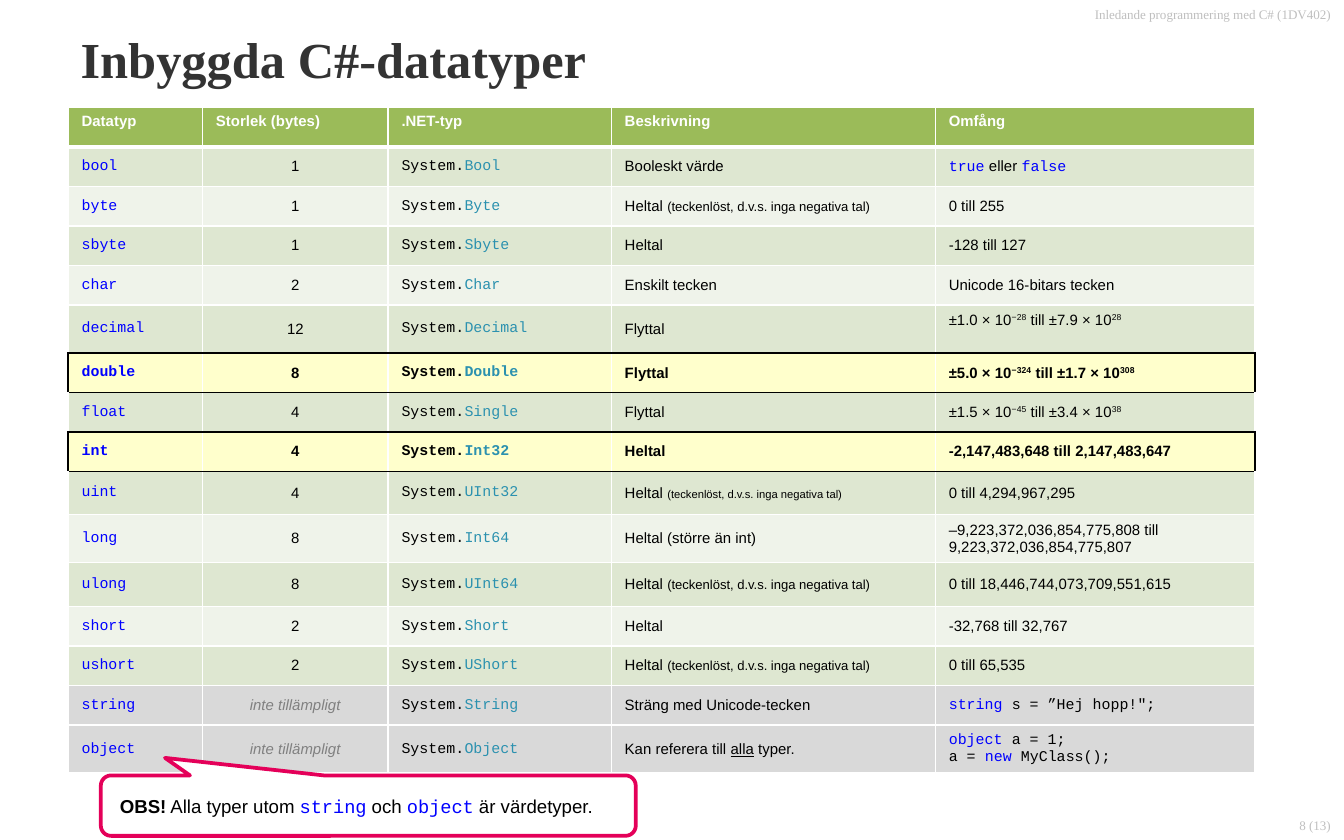
"""Build a slide with a table of the built-in C# data types."""
import lxml.etree
import pptx
import pptx.dml.color
import pptx.enum.shapes
import pptx.enum.text
import pptx.oxml.ns
import pptx.util

Pt = pptx.util.Pt
qn = pptx.oxml.ns.qn
ALIGN = pptx.enum.text.PP_ALIGN
ANCHOR = pptx.enum.text.MSO_ANCHOR

TEXT = {"name": "Arial", "size": Pt(8), "hue": "000000", "bold": False}
CODE = {**TEXT, "name": "Courier New"}
KEY = {**CODE, "hue": "0000FF"}
TYPE = {**CODE, "hue": "2B91AF"}
HEAD = {**TEXT, "hue": "FFFFFF", "bold": True}
NOTE = {**TEXT, "size": Pt(7)}
TINY = {**TEXT, "size": Pt(6)}
SUPER = {**TEXT, "base": 30000}
LINED = {**TEXT, "underline": True}
FADED = {**TEXT, "hue": "808080", "italic": True}
MARGIN = {"name": "Times New Roman", "size": Pt(7), "hue": "BFBFBF"}
TITLE = {"name": "Times New Roman", "size": Pt(27), "hue": "333333", "bold": True}
LARGE = {"size": Pt(10)}

WIDTHS = [72, 99.4, 119.6, 173.6, 171.4]
BASE = 21.15
HEIGHTS = {"decimal": 25.8, "uint": 23, "long": 25.8, "ulong": 23.6, "object": 25.8}
HOT = {"double", "int"}
GRAY = {"string", "object"}
HEADS = ["Datatyp", "Storlek (bytes)", ".NET-typ", "Beskrivning", "Omfång"]


def plain(text):
    """Return one line of ordinary text."""
    return [[(text, TEXT)]]


def whole(style):
    """Return the unsigned integer line with its note in the given style."""
    return [[("Heltal ", TEXT), ("(teckenlöst, d.v.s. inga negativa tal)", style)]]


def span(low, down, high, up):
    """Return a range line between two powers of ten."""
    return [[(f"±{low} × 10", TEXT), (down, SUPER),
             (f" till ±{high} × 10", TEXT), (up, SUPER)]]


ROWS = [
    ("bool", "1", "Bool", plain("Booleskt värde"),
     [[("true", KEY), (" eller ", TEXT), ("false", KEY)]]),
    ("byte", "1", "Byte", whole(NOTE), plain("0 till 255")),
    ("sbyte", "1", "Sbyte", plain("Heltal"), plain("-128 till 127")),
    ("char", "2", "Char", plain("Enskilt tecken"), plain("Unicode 16-bitars tecken")),
    ("decimal", "12", "Decimal", plain("Flyttal"), span("1.0", "−28", "7.9", "28")),
    ("double", "8", "Double", plain("Flyttal"), span("5.0", "−324", "1.7", "308")),
    ("float", "4", "Single", plain("Flyttal"), span("1.5", "−45", "3.4", "38")),
    ("int", "4", "Int32", plain("Heltal"), plain("-2,147,483,648 till 2,147,483,647")),
    ("uint", "4", "UInt32", whole(TINY), plain("0 till 4,294,967,295")),
    ("long", "8", "Int64", plain("Heltal (större än int)"),
     plain("–9,223,372,036,854,775,808 till 9,223,372,036,854,775,807")),
    ("ulong", "8", "UInt64", whole(NOTE), plain("0 till 18,446,744,073,709,551,615")),
    ("short", "2", "Short", plain("Heltal"), plain("-32,768 till 32,767")),
    ("ushort", "2", "UShort", whole(NOTE), plain("0 till 65,535")),
    ("string", "inte tillämpligt", "String", plain("Sträng med Unicode-tecken"),
     [[("string", KEY), (" s = ”Hej hopp!\";", CODE)]]),
    ("object", "inte tillämpligt", "Object",
     [[("Kan referera till ", TEXT), ("alla", LINED), (" typer.", TEXT)]],
     [[("object", KEY), (" a = 1;", CODE)],
      [("a = ", CODE), ("new ", KEY), ("MyClass();", CODE)]]),
]


def paint(target, hue):
    """Give a fill or a font colour its hex value."""
    rgb = pptx.dml.color.RGBColor.from_string(hue)
    if hasattr(target, "solid"):
        target.solid()
        target.fore_color.rgb = rgb
    else:
        target.rgb = rgb


def write(frame, lines, align=ALIGN.LEFT, **extra):
    """Fill a text frame with lines of styled runs."""
    for row, line in enumerate(lines):
        para = frame.paragraphs[0] if row == 0 else frame.add_paragraph()
        para.alignment = align
        for text, style in line:
            run = para.add_run()
            run.text = text
            for key, value in {**style, **extra}.items():
                if key == "hue":
                    paint(run.font.color, value)
                elif key == "base":
                    run._r.get_or_add_rPr().set("baseline", str(value))
                else:
                    setattr(run.font, key, value)


def inset(frame, side, edge, anchor=ANCHOR.TOP):
    """Set the margins, wrapping and anchor of a text frame."""
    form = {"margin_left": Pt(side), "margin_right": Pt(side), "margin_top": Pt(edge),
            "margin_bottom": Pt(edge), "word_wrap": True, "vertical_anchor": anchor,
            "auto_size": pptx.enum.text.MSO_AUTO_SIZE.NONE}
    for key, value in form.items():
        setattr(frame, key, value)


def label(slide, box, text, anchor):
    """Add a small right-aligned margin text."""
    frame = slide.shapes.add_textbox(*map(Pt, box)).text_frame
    inset(frame, 7.2, 3.6, anchor)
    write(frame, [[(text, MARGIN)]], ALIGN.RIGHT)


def head(slide):
    """Place and fill the title."""
    title = slide.shapes.title
    form = {"left": Pt(36), "top": Pt(8), "width": Pt(648), "height": Pt(47)}
    for key, value in form.items():
        setattr(title, key, value)
    inset(title.text_frame, 7.2, 7.2)
    write(title.text_frame, [[("Inbyggda C#-datatyper", TITLE)]])


def border(cell, sides):
    """Draw the four cell borders from pairs of hue and width."""
    props = cell._tc.get_or_add_tcPr()
    for spot, (side, (hue, width)) in enumerate(sides.items()):
        line = lxml.etree.Element(qn("a:ln" + side), w=str(Pt(width)))
        fill = lxml.etree.SubElement(line, qn("a:solidFill"))
        lxml.etree.SubElement(fill, qn("a:srgbClr"), val=hue)
        props.insert(spot, line)


def shade(name, row):
    """Return the fill of a table row."""
    if row == 0:
        return "9BBB59"
    if name in HOT:
        return "FFFFCC"
    if name in GRAY:
        return "D9D9D9"
    return "DEE7D1" if row % 2 else "EFF3EA"


def edges(names, row, col):
    """Return the border of each side of a cell."""
    def rule(dark, width=1):
        """Return a black or white border."""
        return ("000000" if dark else "FFFFFF", width)

    hot = names[row] in HOT
    above = row > 0 and names[row - 1] in HOT
    below = row + 1 < len(names) and names[row + 1] in HOT
    return {"L": rule(hot and col == 0),
            "R": rule(hot and col == len(WIDTHS) - 1),
            "T": rule(hot or above, 3 if row == 1 else 1),
            "B": rule(hot or below, 3 if row == 0 else 1)}


def chart(slide):
    """Add the table of data types."""
    cells = [[[[(text, HEAD)]] for text in HEADS]]
    for name, size, kind, about, scope in ROWS:
        count = [[(size, FADED if name in GRAY else TEXT)]]
        cells.append([[[(name, KEY)]], count,
                      [[("System.", CODE), (kind, TYPE)]], about, scope])
    names = [""] + [row[0] for row in ROWS]
    tall = [HEIGHTS.get(name, BASE) for name in names]
    table = slide.shapes.add_table(len(names), len(WIDTHS), Pt(36.5), Pt(57.6),
                                   Pt(sum(WIDTHS)), Pt(sum(tall))).table
    for column, width in zip(table.columns, WIDTHS):
        column.width = Pt(width)
    for row, name in enumerate(names):
        table.rows[row].height = Pt(tall[row])
        for col, lines in enumerate(cells[row]):
            cell = table.cell(row, col)
            form = {"margin_left": Pt(7.2), "margin_right": Pt(7.2),
                    "margin_top": Pt(3), "margin_bottom": Pt(3),
                    "vertical_anchor": ANCHOR.MIDDLE if row else ANCHOR.TOP}
            for key, value in form.items():
                setattr(cell, key, value)
            align = ALIGN.CENTER if row and col == 1 else ALIGN.LEFT
            write(cell.text_frame, lines, align, **({"bold": True} if name in HOT else {}))
            paint(cell.fill, shade(name, row))
            border(cell, edges(names, row, col))
    table.cell(names.index("decimal"), 4).margin_bottom = Pt(12.5)


def callout(slide):
    """Add the remark that points at the last rows."""
    kind = pptx.enum.shapes.MSO_SHAPE.ROUNDED_RECTANGULAR_CALLOUT
    shape = slide.shapes.add_shape(kind, Pt(54), Pt(415.4), Pt(286.6), Pt(32.4))
    for spot, value in enumerate([-0.38, -0.79, 0.17]):
        shape.adjustments[spot] = value
    shape.shadow.inherit = False
    paint(shape.fill, "FFFFFF")
    paint(shape.line.fill, "E40059")
    shape.line.width = Pt(2)
    inset(shape.text_frame, 8.64, 8.64)
    write(shape.text_frame, [[
        ("OBS!", {**TEXT, "bold": True}), (" Alla typer utom ", TEXT), ("string", KEY),
        (" och ", TEXT), ("object", KEY), (" är värdetyper.", TEXT)]], **LARGE)


def main():
    """Build and save the slide."""
    deck = pptx.Presentation()
    deck.slide_width, deck.slide_height = Pt(720), Pt(450)
    slide = deck.slides.add_slide(deck.slide_layouts[5])
    label(slide, (600, 434, 120, 16), "8 (13)", ANCHOR.BOTTOM)
    label(slide, (390, 0, 330, 24), "Inledande programmering med C# (1DV402)", ANCHOR.TOP)
    head(slide)
    chart(slide)
    callout(slide)
    deck.save("out.pptx")


if __name__ == "__main__":
    main()
